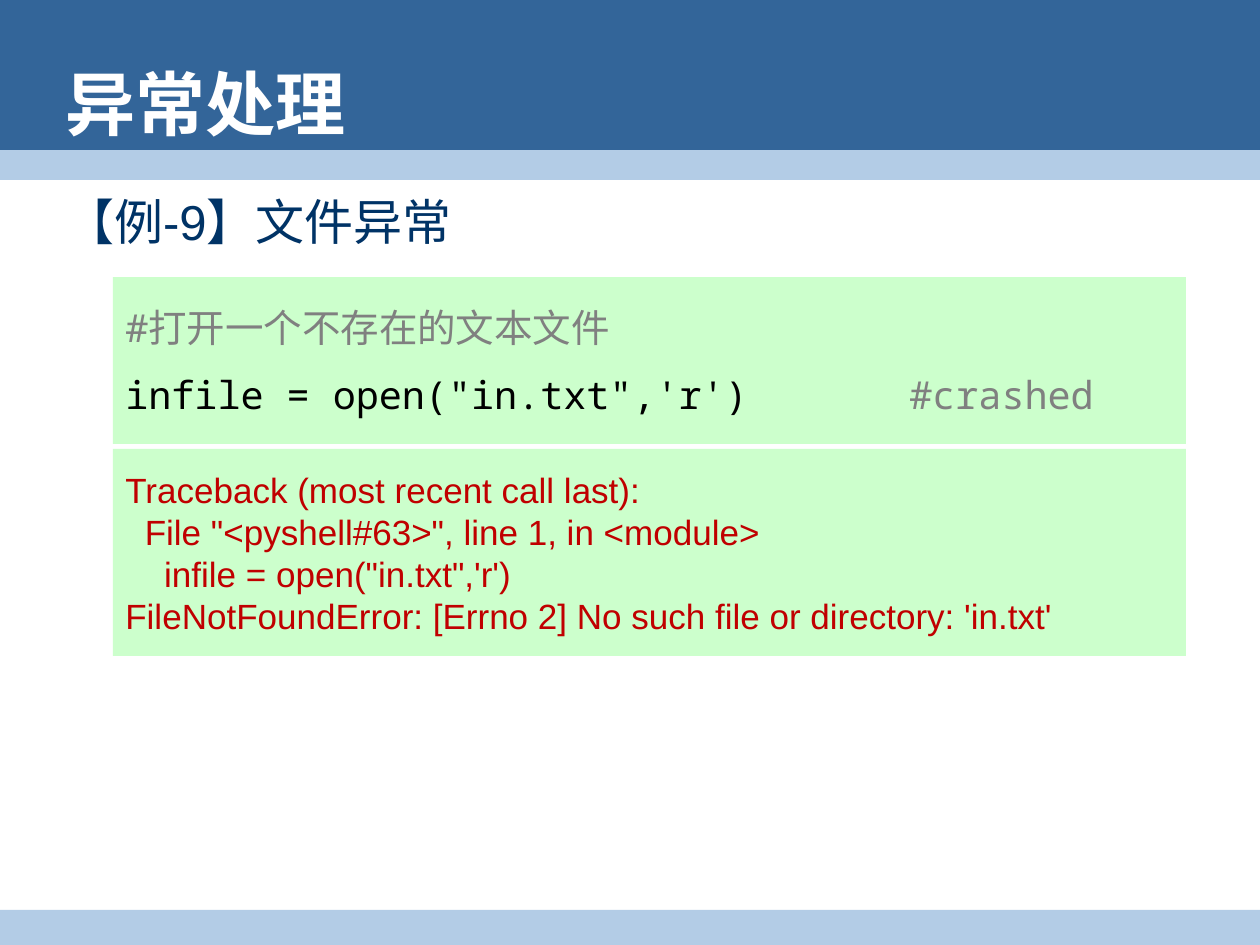
from dataclasses import dataclass

import pptx
import pptx.dml.color
import pptx.enum.shapes
import pptx.enum.text
import pptx.oxml
import pptx.oxml.ns
import pptx.util

EMU_PER_PX = 914400 / 126


@dataclass(frozen=True)
class Theme:
    sans: str = "Arial"
    mono: str = "Noto Sans Mono"
    title_size: int = 40
    heading_size: int = 28
    code_size: int = 22
    output_size: int = 20
    header: str = "336599"
    stripe: str = "B3CCE6"
    panel: str = "CCFFCC"
    white: str = "FFFFFF"
    heading: str = "003366"
    code: str = "000000"
    comment: str = "808080"
    error: str = "C00000"


THEME = Theme()


@dataclass(frozen=True)
class Box:
    x: int
    y: int
    w: int
    h: int


@dataclass(frozen=True)
class Run:
    text: str
    color: str


@dataclass(frozen=True)
class Line:
    runs: tuple[Run, ...]
    size: int
    font: str = THEME.sans
    bold: bool = False
    after: int = 0
    tab: int = 0


def px(n: int) -> pptx.util.Emu:
    return pptx.util.Emu(round(n * EMU_PER_PX))


def rgb(color: str) -> pptx.dml.color.RGBColor:
    return pptx.dml.color.RGBColor.from_string(color)


def place(box: Box) -> tuple[pptx.util.Emu, ...]:
    return px(box.x), px(box.y), px(box.w), px(box.h)


def add_rect(slide, box: Box, fill: str):
    sp = slide.shapes.add_shape(
        pptx.enum.shapes.MSO_SHAPE.RECTANGLE, *place(box))
    sp.shadow.inherit = False
    sp.fill.solid()
    sp.fill.fore_color.rgb = rgb(fill)
    sp.line.fill.background()
    return sp


def add_tab_stop(p, position: int) -> None:
    tabs = pptx.oxml.parse_xml(
        f'<a:tabLst {pptx.oxml.ns.nsdecls("a")}>'
        f'<a:tab pos="{px(position)}" algn="l"/></a:tabLst>')
    p._p.get_or_add_pPr().append(tabs)


def write_lines(sp, lines: list[Line], middle: bool = True) -> None:
    tf = sp.text_frame
    tf.word_wrap = True
    anchor = pptx.enum.text.MSO_ANCHOR
    tf.vertical_anchor = anchor.MIDDLE if middle else anchor.TOP
    for i, line in enumerate(lines):
        p = tf.paragraphs[0] if i == 0 else tf.add_paragraph()
        if line.tab:
            add_tab_stop(p, line.tab)
        p.alignment = pptx.enum.text.PP_ALIGN.LEFT
        p.space_after = pptx.util.Pt(line.after)
        p.font.name = line.font
        p.font.size = pptx.util.Pt(line.size)
        p.font.bold = line.bold
        for run in line.runs:
            r = p.add_run()
            r.text = run.text
            r.font.color.rgb = rgb(run.color)


def add_text(slide, box: Box, line: Line, middle: bool = True) -> None:
    write_lines(slide.shapes.add_textbox(*place(box)), [line], middle)


BANDS = [
    (Box(0, 0, 1260, 165), THEME.header),
    (Box(0, 150, 1260, 30), THEME.stripe),
    (Box(0, 910, 1260, 35), THEME.stripe),
]
TITLE = Line((Run("异常处理", THEME.white),), THEME.title_size, bold=True)
HEADING = Line((Run("【例-9】文件异常", THEME.heading),), THEME.heading_size)
CODE = [
    Line((Run("#打开一个不存在的文本文件", THEME.comment),),
         THEME.code_size, THEME.mono, after=12),
    Line((Run("infile = open(\"in.txt\",'r')\t", THEME.code),
          Run("#crashed", THEME.comment)),
         THEME.code_size, THEME.mono, tab=784),
]
TRACEBACK = [
    Line((Run(text, THEME.error),), THEME.output_size)
    for text in (
        "Traceback (most recent call last):",
        '  File "<pyshell#63>", line 1, in <module>',
        "    infile = open(\"in.txt\",'r')",
        "FileNotFoundError: [Errno 2] No such file or directory: 'in.txt'",
    )
]
PANELS = [
    (Box(113, 277, 1073, 167), CODE),
    (Box(113, 449, 1073, 207), TRACEBACK),
]


def main() -> None:
    prs = pptx.Presentation()
    prs.slide_width, prs.slide_height = px(1260), px(945)
    slide = prs.slides.add_slide(prs.slide_layouts[6])
    for box, fill in BANDS:
        add_rect(slide, box, fill)
    add_text(slide, Box(53, 66, 1142, 73), TITLE)
    add_text(slide, Box(53, 185, 1194, 80), HEADING, middle=False)
    for box, lines in PANELS:
        write_lines(add_rect(slide, box, THEME.panel), lines)
    prs.save("out.pptx")


if __name__ == "__main__":
    main()
